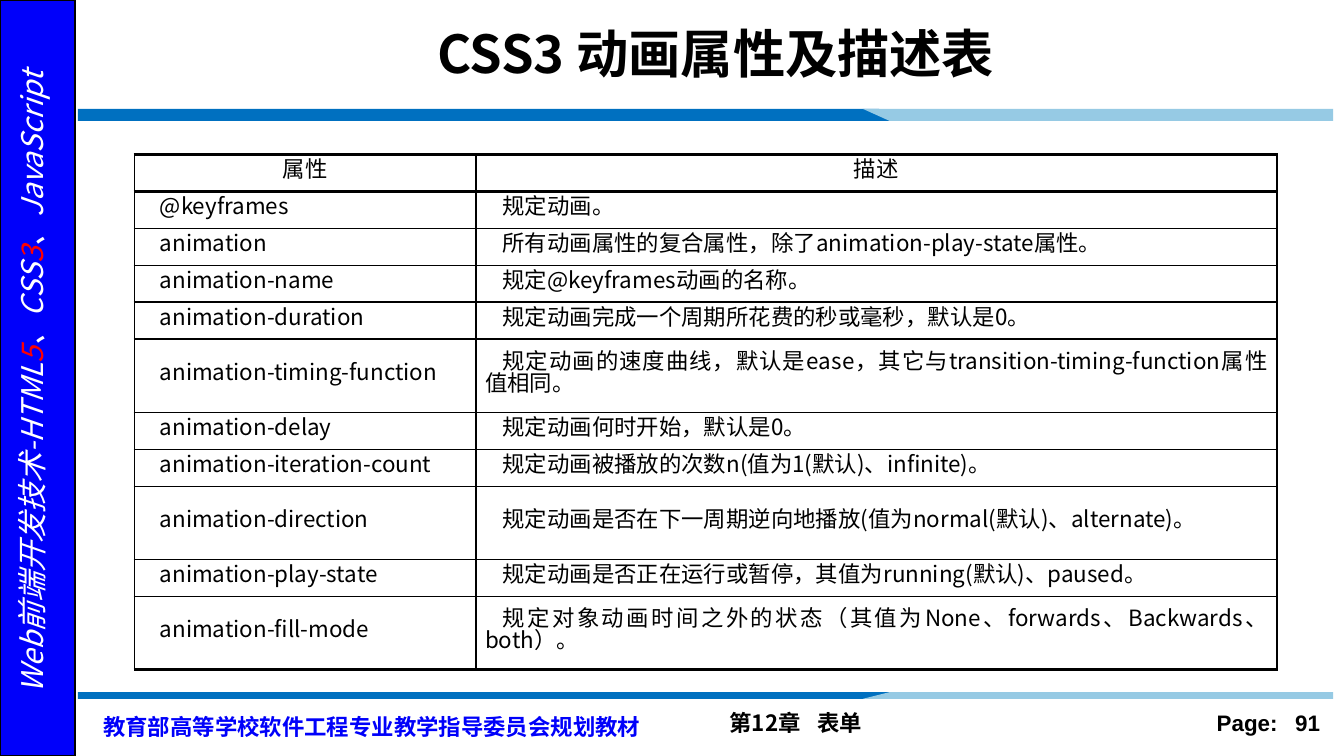
from pptx import Presentation
from pptx import util as u
from pptx.dml.color import RGBColor
from pptx.enum import shapes, text
from pptx.oxml.ns import qn
from lxml import etree

PX = 4572
FONT = "Noto Sans CJK SC"
COLORS = {"black": "000000", "white": "FFFFFF", "red": "FF0000",
          "side": "0000FA", "band": "0070C0", "tip": "96CAE4"}
ALIGN = text.PP_ALIGN
ROWS = [
    ("属性", "描述"),
    ("@keyframes", "规定动画。"),
    ("animation", "所有动画属性的复合属性，除了animation-play-state属性。"),
    ("animation-name", "规定@keyframes动画的名称。"),
    ("animation-duration", "规定动画完成一个周期所花费的秒或毫秒，默认是0。"),
    ("animation-timing-function", "规定动画的速度曲线，默认是ease，其它与transition-timing-function属性值相同。"),
    ("animation-delay", "规定动画何时开始，默认是0。"),
    ("animation-iteration-count", "规定动画被播放的次数n(值为1(默认)、infinite)。"),
    ("animation-direction", "规定动画是否在下一周期逆向地播放(值为normal(默认)、alternate)。"),
    ("animation-play-state", "规定动画是否正在运行或暂停，其值为running(默认)、paused。"),
    ("animation-fill-mode", "规定对象动画时间之外的状态（其值为None、forwards、Backwards、both）。"),
]
TALL_ROWS = (5, 8, 10)


def rgb(name):
    return RGBColor.from_string(COLORS[name])


def add_run(p, content, size=12, color="black", bold=False, italic=False, font=FONT, spacing=0):
    r = p.add_run()
    r.text = content
    f = r.font
    f.size, f.bold, f.italic, f.name = u.Pt(size), bold, italic, font
    f.color.rgb = rgb(color)
    rPr = r._r.get_or_add_rPr()
    etree.SubElement(rPr, qn("a:ea")).set("typeface", font)
    if spacing:
        rPr.set("spc", str(spacing))


class SlideBuilder:
    def __init__(self, prs):
        self.s = prs.slides.add_slide(prs.slide_layouts[5])

    def place(self, sp, x, y, w, h):
        sp.left, sp.top, sp.width, sp.height = (v * PX for v in (x, y, w, h))

    def title(self, content, x, y, w, h):
        sp = self.s.shapes.title
        self.place(sp, x, y, w, h)
        tf = sp.text_frame
        tf.vertical_anchor = text.MSO_ANCHOR.MIDDLE
        tf.auto_size = text.MSO_AUTO_SIZE.NONE
        p = tf.paragraphs[0]
        p.alignment = ALIGN.CENTER
        add_run(p, content, size=28, bold=True)

    def label(self, runs, x, y, w, h, align=ALIGN.LEFT, leading=None, rotation=0, inset=True):
        sp = self.s.shapes.add_textbox(0, 0, 0, 0)
        self.place(sp, x, y, w, h)
        sp.rotation = rotation
        tf = sp.text_frame
        tf.word_wrap = True
        if not inset:
            tf.margin_left = tf.margin_right = tf.margin_top = tf.margin_bottom = 0
        p = tf.paragraphs[0]
        p.alignment = align
        if leading:
            p.line_spacing = u.Pt(leading)
        for content, style in runs:
            add_run(p, content, **style)

    def paint(self, sp, color):
        sp.shadow.inherit = False
        sp.fill.solid()
        sp.fill.fore_color.rgb = rgb(color)
        sp.line.fill.background()

    def sidebar(self, x, y, w, h):
        sp = self.s.shapes.add_shape(shapes.MSO_SHAPE.RECTANGLE, 0, 0, 0, 0)
        self.place(sp, x, y, w, h)
        self.paint(sp, "side")
        sp.line.color.rgb = rgb("black")
        sp.line.width = u.Pt(1)

    def polygon(self, points, color):
        fb = self.s.shapes.build_freeform(*points[0], scale=PX)
        fb.add_line_segments(points[1:], close=True)
        self.paint(fb.convert_to_shape(), color)

    def band(self, near, far):
        self.polygon([(116, near), (1308, near), (1344, far), (116, far)], "band")
        self.polygon([(1284, near), (1984, near), (1984, far), (1324, far)], "tip")

    def border(self, cell, edge, width):
        tcPr = cell._tc.get_or_add_tcPr()
        ln = etree.SubElement(tcPr, qn("a:" + edge), w=str(u.Pt(width)))
        fill = etree.SubElement(ln, qn("a:solidFill"))
        etree.SubElement(fill, qn("a:srgbClr"), val=COLORS["black"])

    def cell(self, cell, content, header, last, indent):
        cell.margin_left = cell.margin_right = 14 * PX
        cell.margin_top = cell.margin_bottom = 0
        cell.vertical_anchor = text.MSO_ANCHOR.MIDDLE
        p = cell.text_frame.paragraphs[0]
        p.alignment = ALIGN.CENTER if header else ALIGN.JUSTIFY
        p.line_spacing = u.Pt(12)
        if not header:
            p._p.get_or_add_pPr().set("indent", str(indent * PX))
        add_run(p, content)
        for edge, thick in (("lnL", False), ("lnR", False), ("lnT", header), ("lnB", header or last)):
            self.border(cell, edge, 1.5 if thick else 1)
        cell.fill.background()

    def table(self, rows, x, y, widths, short, tall):
        heights = [tall if i in TALL_ROWS else short for i in range(len(rows))]
        frame = self.s.shapes.add_table(len(rows), len(widths), x * PX, y * PX,
                                        sum(widths) * PX, sum(heights) * PX)
        t = frame.table
        t.first_row = t.horz_banding = False
        for col, w in zip(t.columns, widths):
            col.width = w * PX
        for i, (row, h) in enumerate(zip(rows, heights)):
            t.rows[i].height = h * PX
            for j, content in enumerate(row):
                self.cell(t.cell(i, j), content, i == 0, i == len(rows) - 1, (24, 26)[j])


def main():
    prs = Presentation()
    prs.slide_width, prs.slide_height = 2000 * PX, 1125 * PX
    b = SlideBuilder(prs)
    bold = {"bold": True}
    arial = {"bold": True, "font": "Arial"}
    white = {"size": 16, "italic": True, "color": "white"}
    red = {**white, "color": "red"}

    b.label([("第12章", bold), (" ", {**bold, "spacing": 600}), ("表单", bold)], 1066, 1046, 658, 60)
    b.label([("Page:", arial), (" ", {**arial, "spacing": 600}), ("91", arial)],
            1734, 1046, 250, 60, align=ALIGN.RIGHT)
    b.sidebar(0, 0, 112, 1125)
    b.label([("教育部高等学校软件工程专业教学指导委员会规划教材", {**bold, "color": "side"}),
             (" ", {"size": 20})], 134, 1046, 866, 70, leading=18)
    b.label([("Web前端开发技术-HTML", white), ("5", red), ("、CSS", white), ("3", red),
             ("、JavaScript", white)], -462, 532, 1038, 74,
            align=ALIGN.CENTER, rotation=270, inset=False)
    b.band(162, 180)
    b.band(1040, 1030)
    b.title("CSS3 动画属性及描述表", 216, 16, 1698, 124)
    b.table(ROWS, 200, 230, (508, 1192), 55, 109)
    prs.save("out.pptx")


if __name__ == "__main__":
    main()
